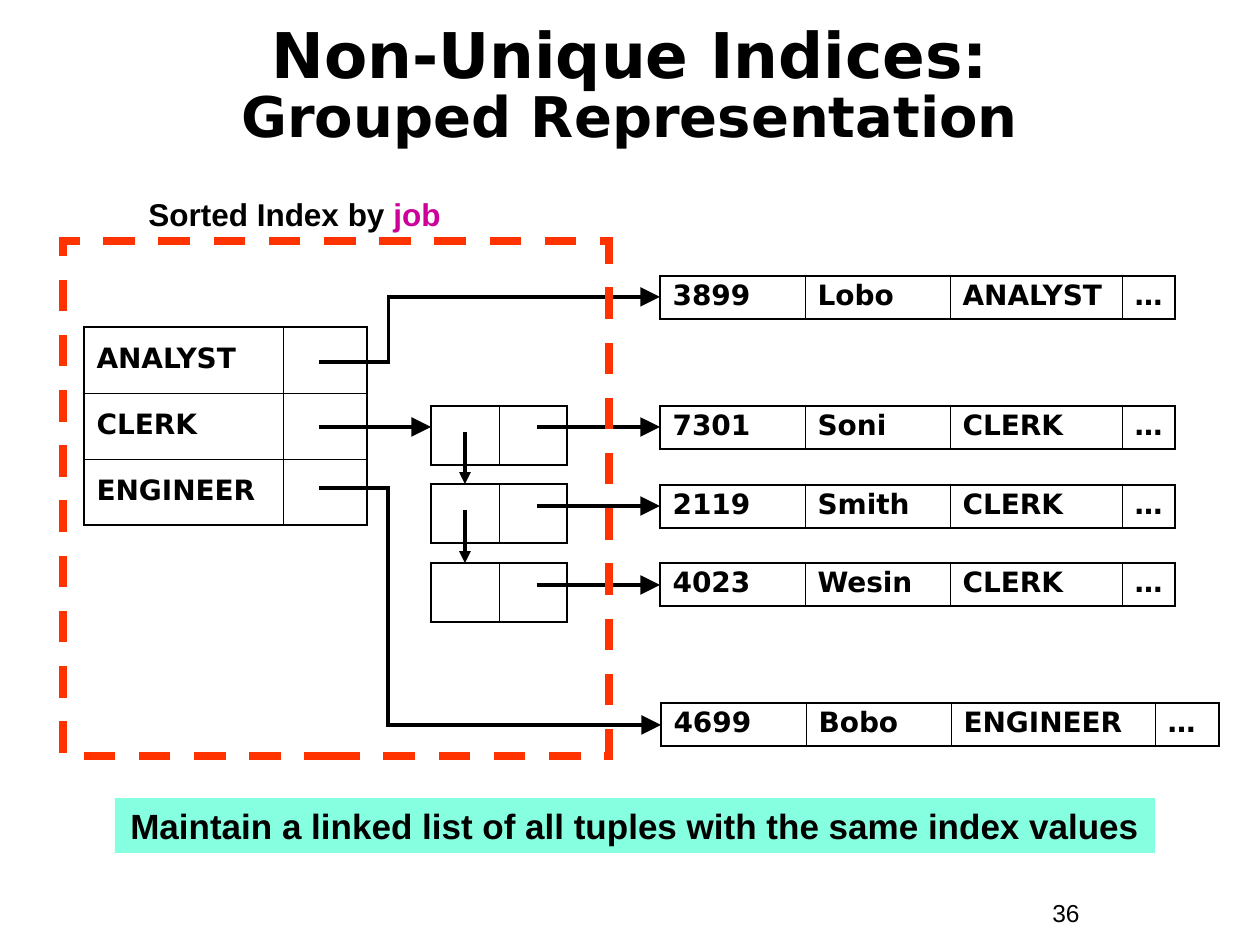
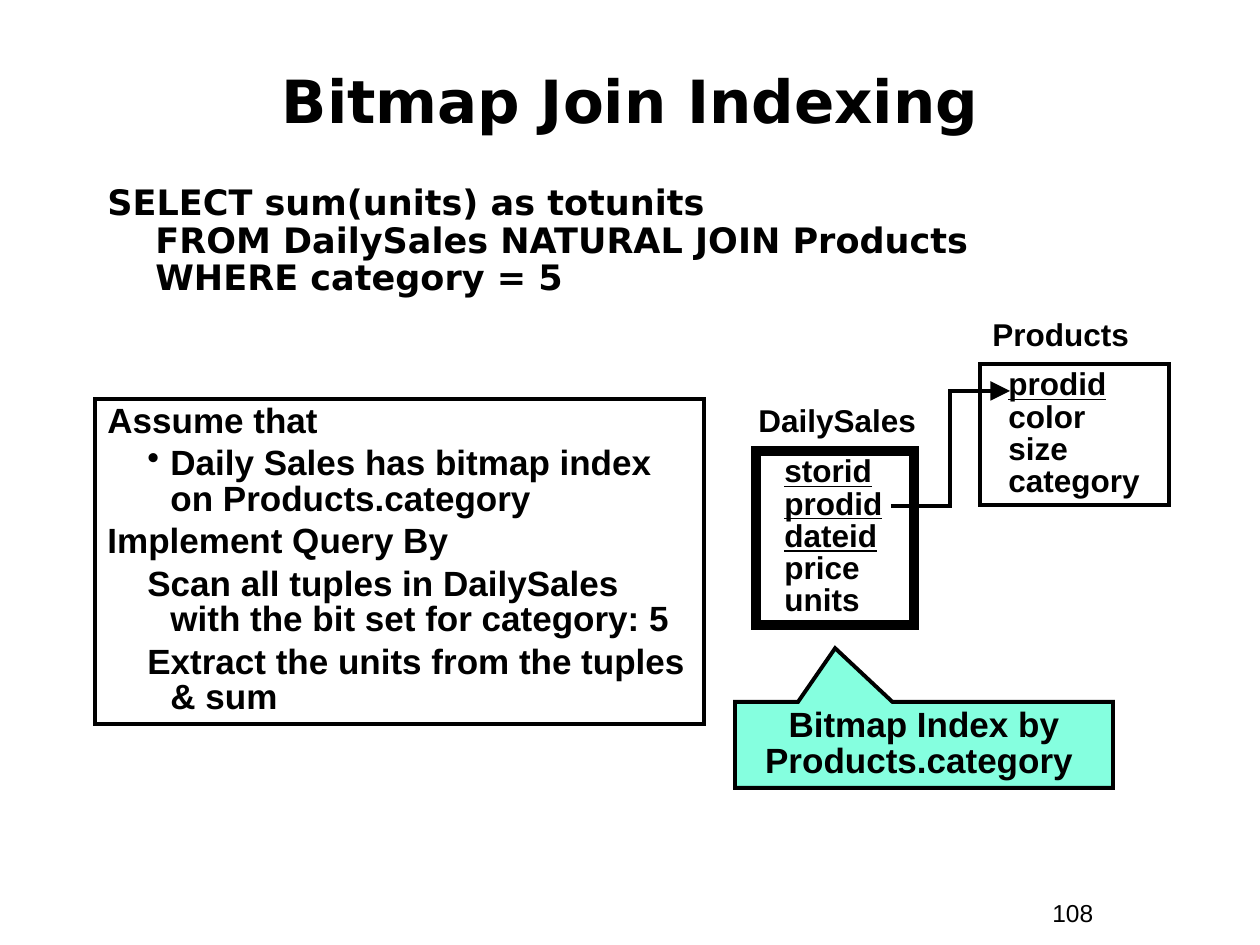
from copy import deepcopy
from lxml.etree import SubElement
from pptx import Presentation
from pptx.dml.color import RGBColor
from pptx.enum.dml import MSO_LINE
from pptx.enum.shapes import MSO_CONNECTOR, MSO_SHAPE
from pptx.enum.text import MSO_ANCHOR, MSO_AUTO_SIZE, PP_ALIGN
from pptx.oxml.ns import qn
from pptx.util import Emu, Pt

BLACK = RGBColor(0x00, 0x00, 0x00)
MAGENTA = RGBColor(0xCC, 0x00, 0x99)
ORANGE = RGBColor(0xFF, 0x33, 0x00)
MINT = RGBColor(0x85, 0xFF, 0xDF)
SANS, HEAVY = "Arial", "DejaVu Sans"
PX = 914400 / 126
OUTER, INNER = Pt(1.08), Pt(0.45)
LINE = Pt(2.25)


def write(frame, paragraphs, look, layout):
    for number, spans in enumerate(paragraphs):
        para = frame.paragraphs[0] if number == 0 else frame.add_paragraph()
        for name, value in {"space_before": Pt(0), **layout}.items():
            if name != "space_before" or number > 0:
                setattr(para, name, value)
        for text, changes in spans:
            for part, line in enumerate(text.split("\n")):
                if part:
                    para.add_line_break()
                span = para.add_run()
                span.text = line
                span.font.color.rgb = changes.get("color", BLACK)
                style = {"name": SANS, "bold": True, **look, **changes}
                style.pop("color", None)
                for name, value in style.items():
                    setattr(span.font, name, value)
                if part:
                    line_break = span._r.getprevious()
                    line_break.append(deepcopy(line_break.getprevious().rPr))


def connect(page, start, end, bend=None, head="lg"):
    kind = MSO_CONNECTOR.ELBOW if bend else MSO_CONNECTOR.STRAIGHT
    points = [Emu(round(value * PX)) for value in start + end]
    link = page.shapes.add_connector(kind, *points)
    link.line.width = LINE
    link.line.color.rgb = BLACK
    properties = link._element.spPr
    outline = properties.find(qn("a:ln"))
    SubElement(outline, qn("a:miter"), lim="800000")
    SubElement(outline, qn("a:tailEnd"), type="triangle", w=head, len=head)
    SubElement(properties, qn("a:effectLst"))
    if bend:
        adjust = properties.find(qn("a:prstGeom")).get_or_add_avLst()
        SubElement(adjust, qn("a:gd"), name="adj1", fmla=f"val {bend}")


deck = Presentation()
deck.slide_width, deck.slide_height = Emu(round(1260 * PX)), Emu(round(945 * PX))

titles = [
    (30, [("Non-Unique Indices:\n", {"size": Pt(36)}),
          ("Grouped Representation", {"size": Pt(32)})], 0.85, "36"),
    (42, [("Bitmap Join Indexing", {"size": Pt(34)})], 1.0, "108"),
]
pages = []
boxes = []
for top, spans, spacing, page_number in titles:
    page = deck.slides.add_slide(deck.slide_layouts[5])
    pages.append(page)
    title = page.shapes.title
    place = {"left": 42, "top": top, "width": 1176, "height": 116}
    for name, value in place.items():
        setattr(title, name, Emu(round(value * PX)))
    title.text_frame.auto_size = MSO_AUTO_SIZE.NONE
    title.text_frame.vertical_anchor = MSO_ANCHOR.MIDDLE
    write(title.text_frame, [spans], {"name": HEAVY},
          {"alignment": PP_ALIGN.CENTER, "line_spacing": spacing})
    boxes.append({"page": page, "area": (1040, 892, 116, 43),
                  "text": [[(page_number, {})]],
                  "look": {"size": Pt(14), "bold": False}})
grouped, bitmap = pages

record_columns = (145, 145, 172, 53)
tables = [
    (84, 327, (199, 84), 66, [["ANALYST", ""], ["CLERK", ""], ["ENGINEER", ""]]),
    (660, 276, record_columns, 43, [["3899", "Lobo", "ANALYST", "…"]]),
    (660, 406, record_columns, 43, [["7301", "Soni", "CLERK", "…"]]),
    (660, 485, record_columns, 43, [["2119", "Smith", "CLERK", "…"]]),
    (660, 563, record_columns, 43, [["4023", "Wesin", "CLERK", "…"]]),
    (661, 703, (145, 145, 204, 64), 43, [["4699", "Bobo", "ENGINEER", "…"]]),
]
tables += [(431, top, (68, 68), 59, [["", ""]]) for top in (406, 484, 563)]

for left, top, widths, row_height, rows in tables:
    area = (left, top, sum(widths), row_height * len(rows))
    table = grouped.shapes.add_table(
        len(rows), len(widths), *[Emu(round(value * PX)) for value in area]).table
    table.first_row = table.horz_banding = False
    for column, width in zip(table.columns, widths):
        column.width = Emu(round(width * PX))
    for r, row in enumerate(rows):
        table.rows[r].height = Emu(round(row_height * PX))
        for c, text in enumerate(row):
            cell = table.cell(r, c)
            if text:
                write(cell.text_frame, [[(text, {})]],
                      {"name": HEAVY, "size": Pt(16)}, {"line_spacing": 0.9})
            if len(rows) > 1:
                cell.vertical_anchor = MSO_ANCHOR.MIDDLE
            edges = {"a:lnL": c == 0, "a:lnR": c == len(row) - 1,
                     "a:lnT": r == 0, "a:lnB": r == len(rows) - 1}
            properties = cell._tc.get_or_add_tcPr()
            for edge, outside in edges.items():
                border = SubElement(properties, qn(edge), w=str(OUTER if outside else INNER))
                fill = SubElement(border, qn("a:solidFill"))
                SubElement(fill, qn("a:srgbClr"), val=str(BLACK))
            cell.fill.background()

for start, end, bend in [
    ((319, 362), (660, 297), 20400),
    ((319, 427), (431, 427), None),
    ((319, 488), (661, 725), 20100),
    ((537, 427), (660, 427), None),
    ((537, 506), (660, 506), None),
    ((537, 585), (660, 585), None),
]:
    connect(grouped, start, end, bend)
for start, end in [(432, 484), (510, 563)]:
    connect(grouped, (465, start), (465, end), head="med")

tight = {"line_spacing": 0.85}
centred = {"alignment": PP_ALIGN.CENTER}
underlined = {"underline": True}
boxes += [
    {"page": grouped, "shape": MSO_SHAPE.RECTANGLE, "area": (63, 241, 546, 515),
     "line": ORANGE, "width": Pt(4.5), "dash": MSO_LINE.DASH},
    {"page": grouped, "area": (136, 189, 336, 50), "look": {"size": Pt(18)},
     "text": [[("Sorted Index by ", {}), ("job", {"color": MAGENTA})]]},
    {"page": grouped, "shape": MSO_SHAPE.RECTANGLE, "area": (115, 798, 1040, 55),
     "fill": MINT, "look": {"size": Pt(20)}, "layout": centred,
     "anchor": MSO_ANCHOR.MIDDLE,
     "text": [[("Maintain a linked list of all tuples with the same index values", {})]]},
    {"page": bitmap, "shape": MSO_SHAPE.RECTANGLE, "area": (95, 399, 609, 325),
     "line": BLACK, "look": {"size": Pt(20)},
     "layout": {**tight, "space_before": Pt(3.7)},
     "indents": [(24, -24), (63, -23), (24, -24), (63, -23), (63, -23)], "bullet": 1,
     "text": [[("Assume that", {})],
              [("Daily Sales has bitmap index on Products.category", {})],
              [("Implement Query By", {})],
              [("Scan all tuples in DailySales with the bit set for category: 5", {})],
              [("Extract the units from the tuples & sum", {})]]},
    {"page": bitmap, "shape": MSO_SHAPE.RECTANGULAR_CALLOUT, "area": (735, 702, 378, 86),
     "fill": MINT, "line": BLACK, "tip": (-0.235, -1.125), "look": {"size": Pt(20)},
     "layout": {**tight, **centred}, "anchor": MSO_ANCHOR.MIDDLE,
     "text": [[("Bitmap Index by Products.category ", {})]]},
    {"page": bitmap, "area": (95, 179, 1071, 136), "look": {"size": Pt(20), "name": HEAVY},
     "layout": {"line_spacing": 0.9}, "indents": [(48, -48)],
     "text": [[("SELECT sum(units) as totunits\nFROM DailySales NATURAL JOIN Products\n"
                "WHERE category = 5", {})]]},
    {"page": bitmap, "area": (746, 401, 192, 45), "look": {"size": Pt(18)},
     "layout": tight, "text": [[("DailySales", {})]]},
    {"page": bitmap, "shape": MSO_SHAPE.RECTANGLE, "area": (756, 451, 158, 174),
     "line": BLACK, "width": Pt(6), "look": {"size": Pt(18)}, "layout": tight,
     "indents": [(16, 0)] * 5,
     "text": [[(key, underlined)] for key in ("storid", "prodid", "dateid")]
             + [[("price", {})], [("units", {})]]},
    {"page": bitmap, "area": (980, 315, 220, 45), "look": {"size": Pt(18)},
     "layout": tight, "text": [[("Products", {})]]},
    {"page": bitmap, "shape": MSO_SHAPE.RECTANGLE, "area": (980, 364, 189, 141),
     "line": BLACK, "look": {"size": Pt(18)}, "layout": tight, "indents": [(16, 0)] * 3,
     "text": [[("prodid", underlined)], [("color\nsize", {})], [("category", {})]]},
]

for item in boxes:
    shapes = item["page"].shapes
    area = [Emu(round(value * PX)) for value in item["area"]]
    if "shape" in item:
        box = shapes.add_shape(item["shape"], *area)
        box.shadow.inherit = False
        for number, value in enumerate(item.get("tip", ())):
            box.adjustments[number] = value
        if "fill" in item:
            box.fill.solid()
            box.fill.fore_color.rgb = item["fill"]
        else:
            box.fill.background()
        if "line" in item:
            box.line.color.rgb = item["line"]
            box.line.width = item.get("width", LINE)
            if "dash" in item:
                box.line.dash_style = item["dash"]
            SubElement(box._element.spPr.find(qn("a:ln")), qn("a:miter"), lim="800000")
        else:
            box.line.fill.background()
    else:
        box = shapes.add_textbox(*area)
    if "text" not in item:
        continue
    frame = box.text_frame
    frame.word_wrap = True
    frame.vertical_anchor = item.get("anchor", MSO_ANCHOR.TOP)
    write(frame, item["text"], item["look"],
          {"alignment": PP_ALIGN.LEFT, **item.get("layout", {})})
    for number, (margin, indent) in enumerate(item.get("indents", [])):
        properties = frame.paragraphs[number]._p.get_or_add_pPr()
        properties.set("marL", str(round(margin * PX)))
        properties.set("indent", str(round(indent * PX)))
        if item.get("bullet") == number:
            SubElement(properties, qn("a:buChar"), char="•")

connect(bitmap, (891, 506), (1010, 391), 50000)

deck.save("out.pptx")
